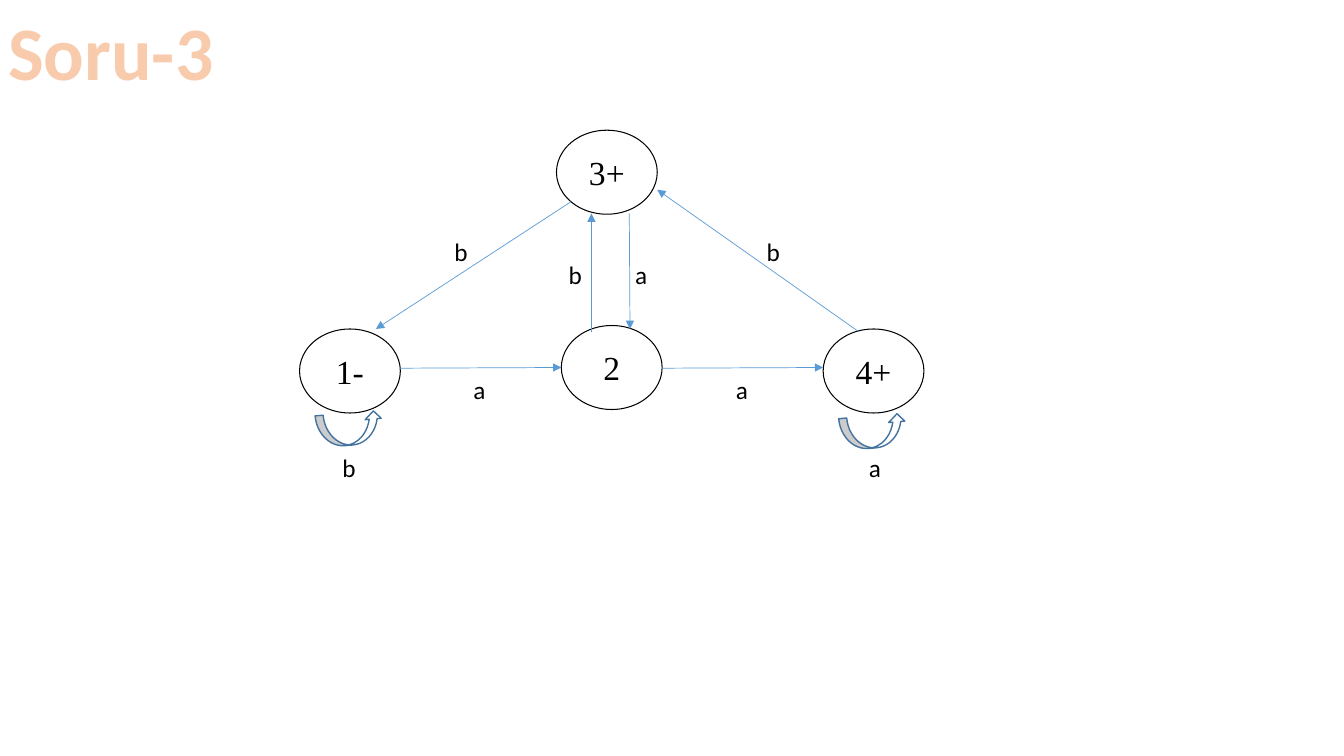
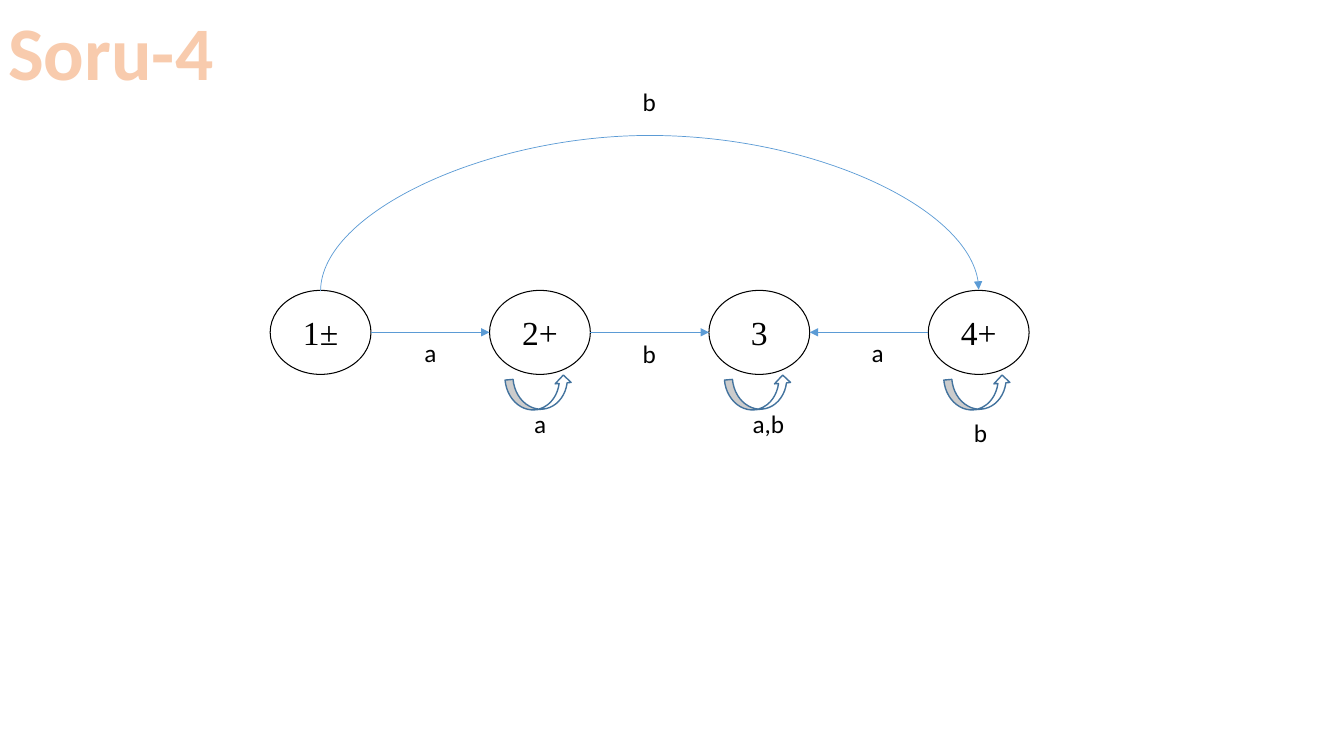
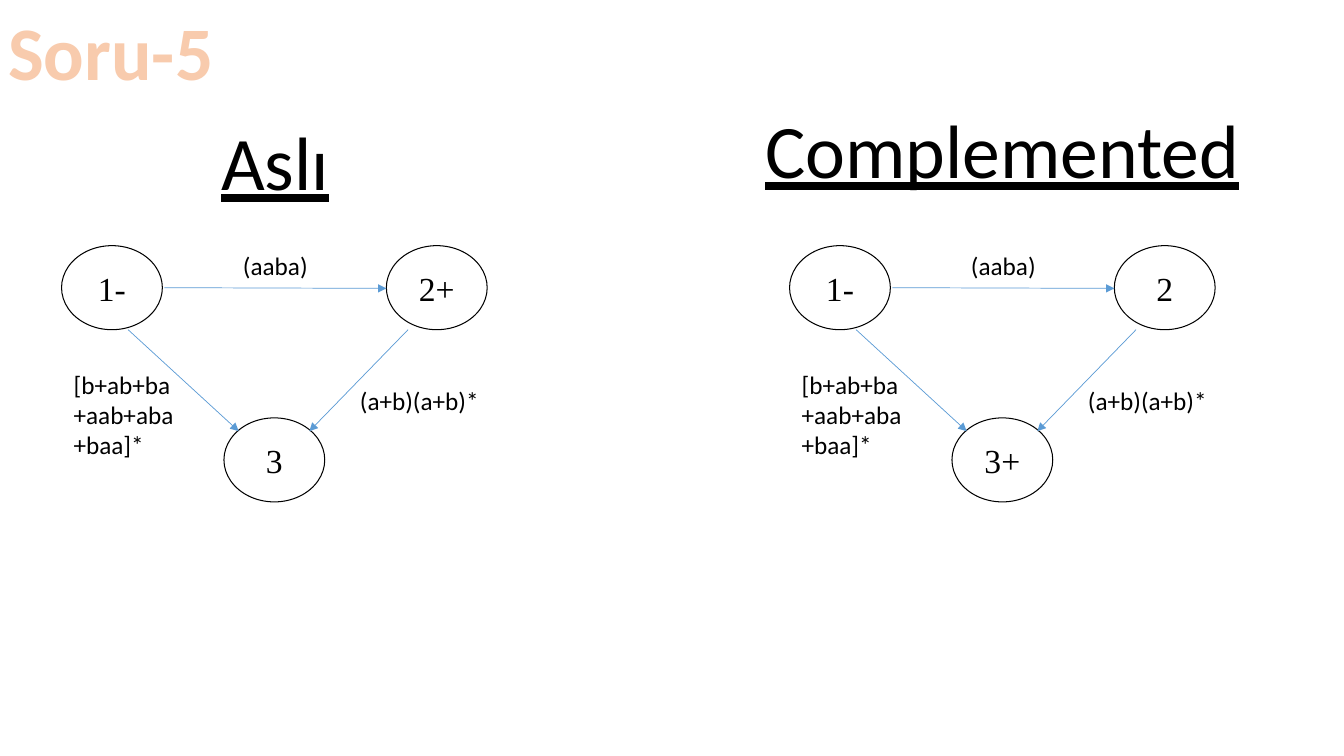
from lxml import etree
from pptx import Presentation
from pptx.dml.color import RGBColor
from pptx.enum.shapes import MSO_CONNECTOR, MSO_SHAPE
from pptx.enum.text import MSO_ANCHOR, MSO_AUTO_SIZE, PP_ALIGN
from pptx.oxml.ns import qn
from pptx.util import Pt

STRAIGHT, CURVE = MSO_CONNECTOR.STRAIGHT, MSO_CONNECTOR.CURVE
ELLIPSE, LOOP_ARROW = MSO_SHAPE.OVAL, MSO_SHAPE.CURVED_UP_ARROW
LEFT, CENTER = PP_ALIGN.LEFT, PP_ALIGN.CENTER
MIDDLE = MSO_ANCHOR.MIDDLE
FIT_TEXT = MSO_AUTO_SIZE.SHAPE_TO_FIT_TEXT

COLORS = {
    "title": "F8CBAD",
    "title_outline": "ED7D31",
    "ink": "000000",
    "paper": "FFFFFF",
    "edge": "5B9BD5",
    "loop": "43739E",
}
BODY_FONT, NODE_FONT = "Calibri", "Times New Roman"
NODE_WIDTH, NODE_HEIGHT = 72, 60
LETTER_WIDTH = 24
LINE_HEIGHT = 21.75
HEADING_HEIGHT = 72.5


def color(name):
    return RGBColor.from_string(COLORS[name])


def format_text(text_frame, text, font_name, size, color_name="ink", alignment=CENTER):
    text_frame.text = text
    text_frame.word_wrap = False
    for paragraph in text_frame.paragraphs:
        paragraph.alignment = alignment
        for run in paragraph.runs:
            run.font.name = font_name
            run.font.size = Pt(size)
            run.font.color.rgb = color(color_name)
    return [run for paragraph in text_frame.paragraphs for run in paragraph.runs]


def add_text(slide, text, left, top, width, height, size, color_name="ink", alignment=CENTER):
    box = slide.shapes.add_textbox(Pt(left), Pt(top), Pt(width), Pt(height))
    runs = format_text(box.text_frame, text, BODY_FONT, size, color_name, alignment)
    box.text_frame.auto_size = FIT_TEXT
    return runs


def add_title(slide, text):
    for run in add_text(slide, text, -2, 0, 162.5, HEADING_HEIGHT, 54, "title"):
        run.font.bold = True
        outline = etree.Element(qn("a:ln"), w=str(Pt(1.75)))
        fill = etree.SubElement(outline, qn("a:solidFill"))
        etree.SubElement(fill, qn("a:srgbClr"), val=COLORS["title_outline"])
        run.font._element.insert(0, outline)


def add_heading(slide, text, left, top, width):
    for run in add_text(slide, text, left, top, width, HEADING_HEIGHT, 54):
        run.font.underline = True


def add_label(slide, text, left, top, width=LETTER_WIDTH):
    height = 29 + LINE_HEIGHT * text.count("\n")
    add_text(slide, text, left, top, width, height, 18, alignment=LEFT)


def add_outlined_shape(slide, preset, left, top, width, height, line_color, line_width):
    shape = slide.shapes.add_shape(preset, Pt(left), Pt(top), Pt(width), Pt(height))
    shape.shadow.inherit = False
    shape.fill.solid()
    shape.fill.fore_color.rgb = color("paper")
    shape.line.color.rgb = color(line_color)
    shape.line.width = Pt(line_width)
    return shape


def add_node(slide, text, left, top):
    node = add_outlined_shape(slide, ELLIPSE, left, top, NODE_WIDTH, NODE_HEIGHT, "ink", 0.75)
    format_text(node.text_frame, text, NODE_FONT, 24)
    node.text_frame.vertical_anchor = MIDDLE
    return node


def add_loop(slide, node_left, node_top, drop=62):
    loop = add_outlined_shape(
        slide, LOOP_ARROW, node_left + 12, node_top + drop, 47.5, 23, "loop", 1)
    loop.rotation = 355.1


def add_edge(slide, start_x, start_y, end_x, end_y, kind=STRAIGHT):
    edge = slide.shapes.add_connector(kind, Pt(start_x), Pt(start_y), Pt(end_x), Pt(end_y))
    edge.line.color.rgb = color("edge")
    edge.line.width = Pt(0.5)
    etree.SubElement(edge.line._get_or_add_ln(), qn("a:tailEnd"), type="triangle")
    etree.SubElement(edge._element.spPr, qn("a:effectLst"))
    return edge


def add_arc(slide, start_node, end_node, rise):
    edge = add_edge(slide, 0, 0, 0, 0, CURVE)
    edge.begin_connect(start_node, 0)
    edge.end_connect(end_node, 0)
    span = end_node.left - start_node.left
    middle = start_node.left + (start_node.width + span) // 2
    edge.left, edge.top = middle - Pt(0.5), start_node.top - span // 2
    edge.width, edge.height = Pt(1), span
    properties = edge._element.spPr
    frame = properties.find(qn("a:xfrm"))
    for name, value in (("rot", "5400000"), ("flipH", "1"), ("flipV", "1")):
        frame.set(name, value)
    geometry = properties.find(qn("a:prstGeom"))
    adjustments = geometry.find(qn("a:avLst"))
    if adjustments is None:
        adjustments = etree.SubElement(geometry, qn("a:avLst"))
    etree.SubElement(adjustments, qn("a:gd"), name="adj1", fmla=f"val {rise * 100000}")


def draw_automaton(slide, left, top, nodes, edges, labels, loops=()):
    shapes = [add_node(slide, text, left + x, top + y) for text, x, y in nodes]
    for start_x, start_y, end_x, end_y in edges:
        add_edge(slide, left + start_x, top + start_y, left + end_x, top + end_y)
    for index, *drop in loops:
        _, x, y = nodes[index]
        add_loop(slide, left + x, top + y, *drop)
    for text, x, y, *width in labels:
        add_label(slide, text, left + x, top + y, *width)
    return shapes


def build_triangle_slide(slide):
    add_title(slide, "Soru-3")
    draw_automaton(
        slide, 214, 93,
        nodes=[("1-", 0, 142), ("2", 187, 139.5), ("4+", 374, 142), ("3+", 183.5, 0)],
        edges=[
            (72, 170, 187, 169.5),
            (259, 170, 374, 169.5),
            (194, 51, 54.5, 142),
            (399.5, 144, 255.5, 42.5),
            (208.5, 144, 208.5, 59.5),
            (235.5, 59.5, 236, 142),
        ],
        loops=[(0, 60), (2,)],
        labels=[
            ("b", 23.5, 226.5), ("b", 185, 89), ("b", 103.5, 72.5), ("b", 326.5, 72.5),
            ("a", 117, 170.5), ("a", 304.5, 170.5), ("a", 232.5, 89), ("a", 399.5, 226.5),
        ],
    )


def build_chain_slide(slide):
    add_title(slide, "Soru-4")
    step = 156.7
    middle = NODE_HEIGHT / 2
    names = ["1±", "2+", "3", "4+"]
    nodes = draw_automaton(
        slide, 193, 207.4,
        nodes=[(name, index * step, 0) for index, name in enumerate(names)],
        edges=[
            (NODE_WIDTH, middle, step, middle),
            (step + NODE_WIDTH, middle, 2 * step, middle),
            (3 * step, middle, 2 * step + NODE_WIDTH, middle),
        ],
        loops=[(1,), (2,), (3,)],
        labels=[
            ("a", 103, 30), ("a", 181.5, 81), ("a,b", 337.5, 81, 37.5), ("a", 422.5, 30),
            ("b", 259, -149), ("b", 495.5, 87), ("b", 259, 31),
        ],
    )
    add_arc(slide, nodes[0], nodes[-1], 112)


def build_complement_slide(slide):
    add_title(slide, "Soru-5")
    for left, second, third in ((44, "2+", "3"), (564, "2", "3+")):
        draw_automaton(
            slide, left, 175.5,
            nodes=[("1-", 0, 0), (second, 232, 0), (third, 116, 123)],
            edges=[
                (73.5, 30, 232, 30.5),
                (47.5, 60, 126.5, 132.5),
                (247.5, 60, 177, 132.5),
            ],
            labels=[
                ("(aaba)", 122.5, 0, 61),
                ("(a+b)(a+b)*", 206, 96, 101),
                ("[b+ab+ba\n+aab+aba\n+baa]*", 1.5, 84.5, 86.5),
            ],
        )
    add_heading(slide, "Aslı", 150.5, 78.5, 92)
    add_heading(slide, "Complemented", 538, 70, 356)


def main():
    presentation = Presentation()
    presentation.slide_width, presentation.slide_height = Pt(960), Pt(540)
    blank = presentation.slide_layouts[6]
    for build in (build_triangle_slide, build_chain_slide, build_complement_slide):
        build(presentation.slides.add_slide(blank))
    presentation.save("out.pptx")


if __name__ == "__main__":
    main()
